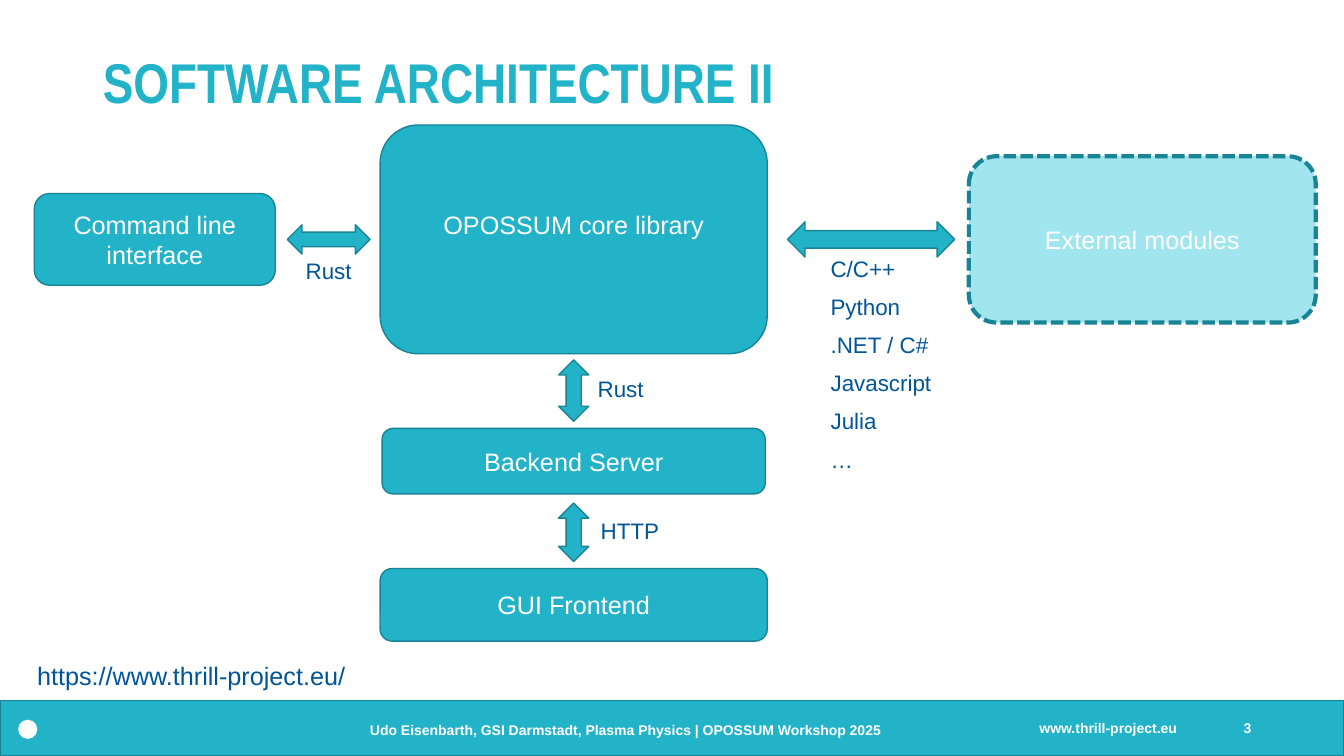
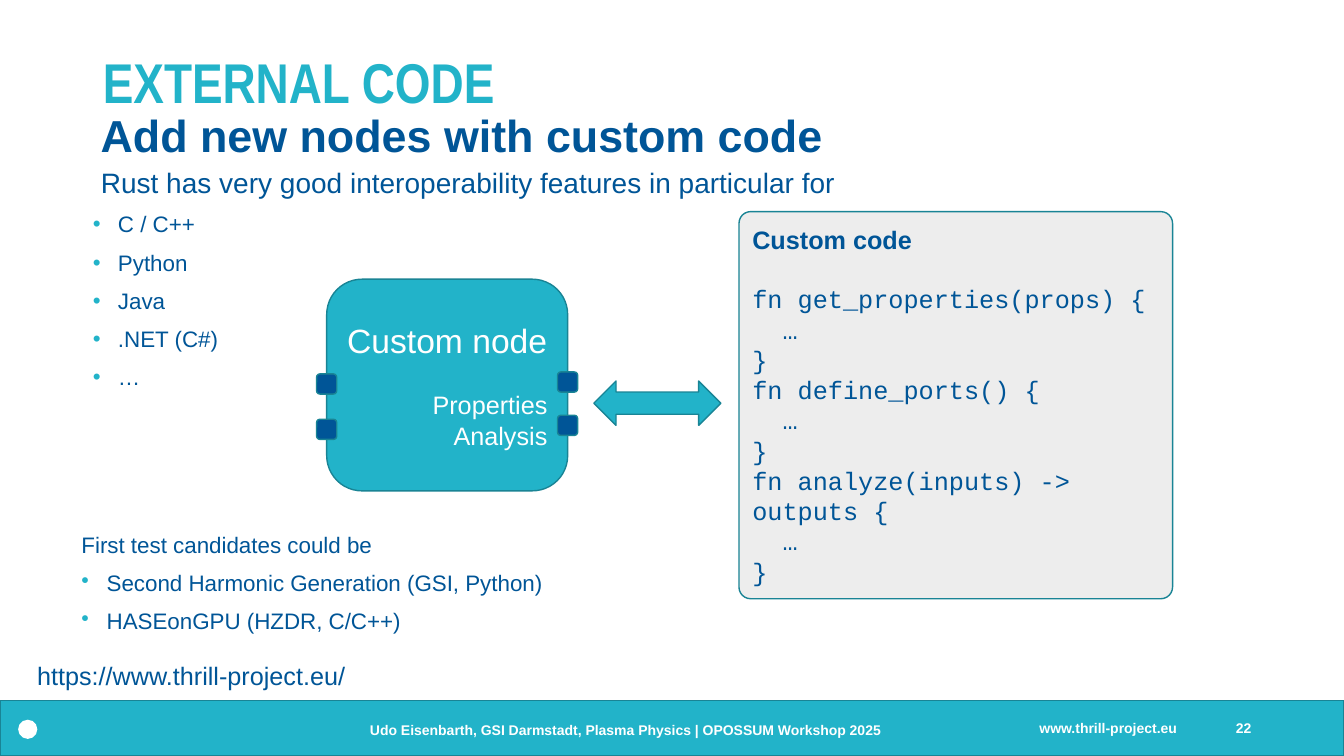
from lxml import etree
from pptx import Presentation
from pptx.dml.color import RGBColor
from pptx.enum.dml import MSO_LINE
from pptx.enum.shapes import MSO_SHAPE
from pptx.enum.text import MSO_ANCHOR, MSO_AUTO_SIZE, PP_ALIGN
from pptx.oxml.ns import qn
from pptx.util import Inches, Pt

TEAL = RGBColor(0x22, 0xB3, 0xC9)
EDGE = RGBColor(0x19, 0x84, 0x95)
PALE = RGBColor(0xA1, 0xE5, 0xEF)
NAVY = RGBColor(0x00, 0x55, 0x97)
GREY = RGBColor(0xED, 0xED, 0xED)
WHITE = RGBColor(0xFF, 0xFF, 0xFF)
LEFT, MID, RIGHT = PP_ALIGN.LEFT, PP_ALIGN.CENTER, PP_ALIGN.RIGHT
TOP, CENTER = MSO_ANCHOR.TOP, MSO_ANCHOR.MIDDLE
RECT, ROUND, OVAL = MSO_SHAPE.RECTANGLE, MSO_SHAPE.ROUNDED_RECTANGLE, MSO_SHAPE.OVAL
ACROSS, UPDOWN = MSO_SHAPE.LEFT_RIGHT_ARROW, MSO_SHAPE.UP_DOWN_ARROW
DASH = MSO_LINE.SQUARE_DOT
FIXED = MSO_AUTO_SIZE.NONE
WIDE, HIGH = 13.33, 7.5


def style(par, text, size, color=NAVY, bold=False, font="Arial", align=LEFT):
    """Fill one paragraph and set its font."""
    par.text = text
    par.alignment = align
    par.font.size = Pt(size)
    par.font.name = font
    par.font.bold = bold
    par.font.color.rgb = color


def lines(frame, texts, size, **look):
    """Write one paragraph per text and return them."""
    pars = [frame.paragraphs[0]]
    pars += [frame.add_paragraph() for _ in texts[1:]]
    for par, text in zip(pars, texts):
        style(par, text, size, **look)
    return pars


def mark(par, bullet):
    """Give a paragraph a hanging teal bullet, or none."""
    props = par._p.get_or_add_pPr()
    props.set("marL", str(Inches(0.25) if bullet else 0))
    props.set("indent", str(Inches(-0.25) if bullet else 0))
    if bullet:
        tint = etree.SubElement(props, qn("a:buClr"))
        etree.SubElement(tint, qn("a:srgbClr")).set("val", str(TEAL))
        etree.SubElement(props, qn("a:buChar")).set("char", "•")
    else:
        etree.SubElement(props, qn("a:buNone"))


def space(pars):
    """Set the line and paragraph spacing of running text."""
    for num, par in enumerate(pars):
        par.line_spacing = 0.9
        par.space_before = Pt(10 if num else 0)


def points(frame, head, items, size):
    """Write a lead line followed by bulleted items."""
    pars = [frame.paragraphs[0]] + [frame.add_paragraph() for _ in items]
    for num, par in enumerate(pars):
        mark(par, num > 0)
    space(pars)
    style(pars[0], head, size)
    for par, item in zip(pars[1:], items):
        style(par, item, 16)
    return pars


def place(shape, box):
    """Move and size a shape in inches."""
    shape.left, shape.top, shape.width, shape.height = map(Inches, box)


def label(slide, box, anchor=TOP):
    """Add a wrapping text box and return its frame."""
    frame = slide.shapes.add_textbox(*map(Inches, box)).text_frame
    frame.word_wrap = True
    frame.vertical_anchor = anchor
    return frame


def block(slide, kind, box, fill=TEAL, edge=EDGE, width=1):
    """Add a flat filled shape."""
    shape = slide.shapes.add_shape(kind, *map(Inches, box))
    shape.shadow.inherit = False
    shape.fill.solid()
    shape.fill.fore_color.rgb = fill
    if edge is None:
        shape.line.fill.background()
    else:
        shape.line.color.rgb = edge
        shape.line.width = Pt(width)
    shape.text_frame.word_wrap = True
    shape.text_frame.vertical_anchor = CENTER
    return shape


def footer(slide, box, page):
    """Draw the bottom band with its texts and the web address above."""
    x, y, w, h = box
    block(slide, RECT, box)
    block(slide, OVAL, (x + 0.18, y + 0.19, 0.19, 0.19), WHITE, None)
    notes = (
        (3.67, 0.09, 6, "Udo Eisenbarth, GSI Darmstadt, Plasma Physics | OPOSSUM Workshop 2025", LEFT),
        (10.31, 0.07, 1.5, "www.thrill-project.eu", LEFT),
        (11.86, 0.07, 0.55, page, RIGHT),
    )
    for dx, dy, wide, text, align in notes:
        frame = label(slide, (x + dx, y + dy, wide, 0.4), CENTER)
        frame.margin_left = frame.margin_right = 0
        lines(frame, [text], 10, color=WHITE, bold=True, align=align)
    lines(label(slide, (x + 0.27, y - 0.45, 4, 0.4)), ["https://www.thrill-project.eu/"], 18)


def start(deck, layout, title, page):
    """Add a slide with its title and footer."""
    slide = deck.slides.add_slide(deck.slide_layouts[layout])
    head = slide.shapes.title
    place(head, (0.92, 0.4, 11.5, 0.89))
    frame = head.text_frame
    frame.auto_size = FIXED
    frame.vertical_anchor = CENTER
    lines(frame, [title], 40, color=TEAL, bold=True, font="Arial Narrow")
    frame.paragraphs[0].line_spacing = 0.9
    footer(slide, (0, 6.95, WIDE, 0.55), page)
    return slide


def layers(slide, box):
    """Draw the parts of the software and the links between them."""
    x, y, w, h = box
    parts = (
        ("OPOSSUM core library", 3.43, 0, 3.84, 2.27),
        ("Command line interface", 0, 0.68, 2.39, 0.91),
        ("Backend Server", 3.45, 3.01, 3.8, 0.65),
        ("GUI Frontend", 3.43, h - 0.72, 3.84, 0.72),
        ("External modules", w - 3.44, 0.31, 3.44, 1.65),
    )
    made = {}
    for text, dx, dy, wide, high in parts:
        made[text] = block(slide, ROUND, (x + dx, y + dy, wide, high))
        lines(made[text].text_frame, [text], 18, color=WHITE, align=MID)
    made["OPOSSUM core library"].text_frame.margin_bottom = Inches(0.34)
    plug = made["External modules"]
    plug.fill.fore_color.rgb = PALE
    plug.line.width = Pt(3)
    plug.line.dash_style = DASH
    links = (
        (ACROSS, 2.51, 0.99, 0.82, 0.29),
        (ACROSS, 7.47, 0.96, 1.66, 0.35),
        (UPDOWN, 5.2, 2.33, 0.3, 0.61),
        (UPDOWN, 5.2, 3.75, 0.3, 0.58),
    )
    for kind, dx, dy, wide, high in links:
        block(slide, kind, (x + dx, y + dy, wide, high))
    names = (
        (["Rust"], 2.49, 1.29, 0.86, MID),
        (["Rust"], 5.49, 2.46, 0.86, LEFT),
        (["HTTP"], 5.52, 3.87, 0.86, LEFT),
        (["C/C++", "Python", ".NET / C#", "Javascript", "Julia", "…"], 7.8, 1.27, 1.27, LEFT),
    )
    for texts, dx, dy, wide, align in names:
        frame = label(slide, (x + dx, y + dy, wide, 0.34 + 0.38 * (len(texts) - 1)))
        space(lines(frame, texts, 16, align=align))


def node(slide, box):
    """Draw the custom node with its ports."""
    x, y, w, h = box
    frame = block(slide, ROUND, box).text_frame
    pars = lines(frame, ["Custom node", "Properties", "Analysis"], 18, color=WHITE, align=RIGHT)
    pars[0].alignment = MID
    pars[0].font.size = Pt(24)
    pars[1].space_before = Pt(21)
    for dx, tops in ((0, (0.94, 1.39)), (w, (0.92, 1.35))):
        for top in tops:
            block(slide, ROUND, (x + dx - 0.1, y + top, 0.2, 0.2), NAVY)


def code(slide, box):
    """Draw the panel of custom code."""
    panel = block(slide, ROUND, box, GREY)
    panel.adjustments[0] = 0.03
    texts = ["Custom code"]
    for call in ("get_properties(props)", "define_ports()", "analyze(inputs) -> outputs"):
        texts += [f"fn {call} {{", "  …", "}"]
    pars = lines(panel.text_frame, texts, 18, font="Courier New")
    style(pars[0], texts[0], 18, bold=True)
    pars[1].space_before = Pt(21)


def design(deck):
    """Build the architecture slide."""
    slide = start(deck, 5, "SOFTWARE ARCHITECTURE II", "3")
    layers(slide, (0.34, 1.24, 12.71, 5.12))


def custom(deck):
    """Build the external code slide."""
    slide = start(deck, 1, "EXTERNAL CODE", "22")
    lines(label(slide, (0.9, 1.02, 7.5, 0.64)), ["Add new nodes with custom code"], 32, bold=True)
    body = slide.placeholders[1]
    place(body, (0.82, 1.63, 9.48, 2.32))
    body.text_frame.auto_size = FIXED
    pars = points(
        body.text_frame,
        "Rust has very good interoperability features in particular for",
        ["C / C++", "Python", "Java", ".NET (C#)", "…"],
        20,
    )
    pars[0]._p.pPr.set("marL", str(Inches(0.08)))
    node(slide, (3.24, 2.77, 2.39, 2.1))
    block(slide, ACROSS, (5.89, 3.78, 1.26, 0.44))
    code(slide, (7.33, 2.1, 4.3, 3.84))
    points(
        label(slide, (0.71, 5.25, 5.53, 1.11)),
        "First test candidates could be",
        ["Second Harmonic Generation (GSI, Python)", "HASEonGPU (HZDR, C/C++)"],
        16,
    )


def main():
    """Build and save the deck."""
    deck = Presentation()
    deck.slide_width, deck.slide_height = Inches(WIDE), Inches(HIGH)
    design(deck)
    custom(deck)
    deck.save("out.pptx")


if __name__ == "__main__":
    main()
